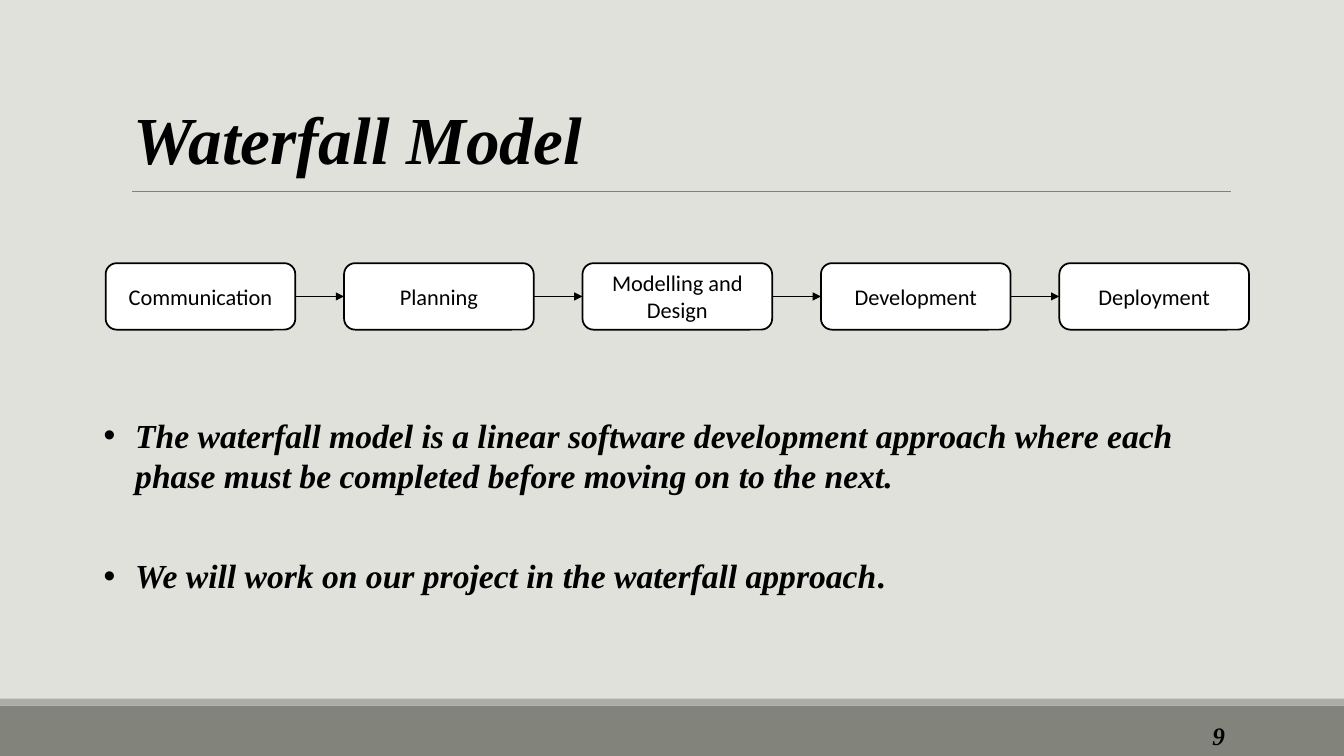
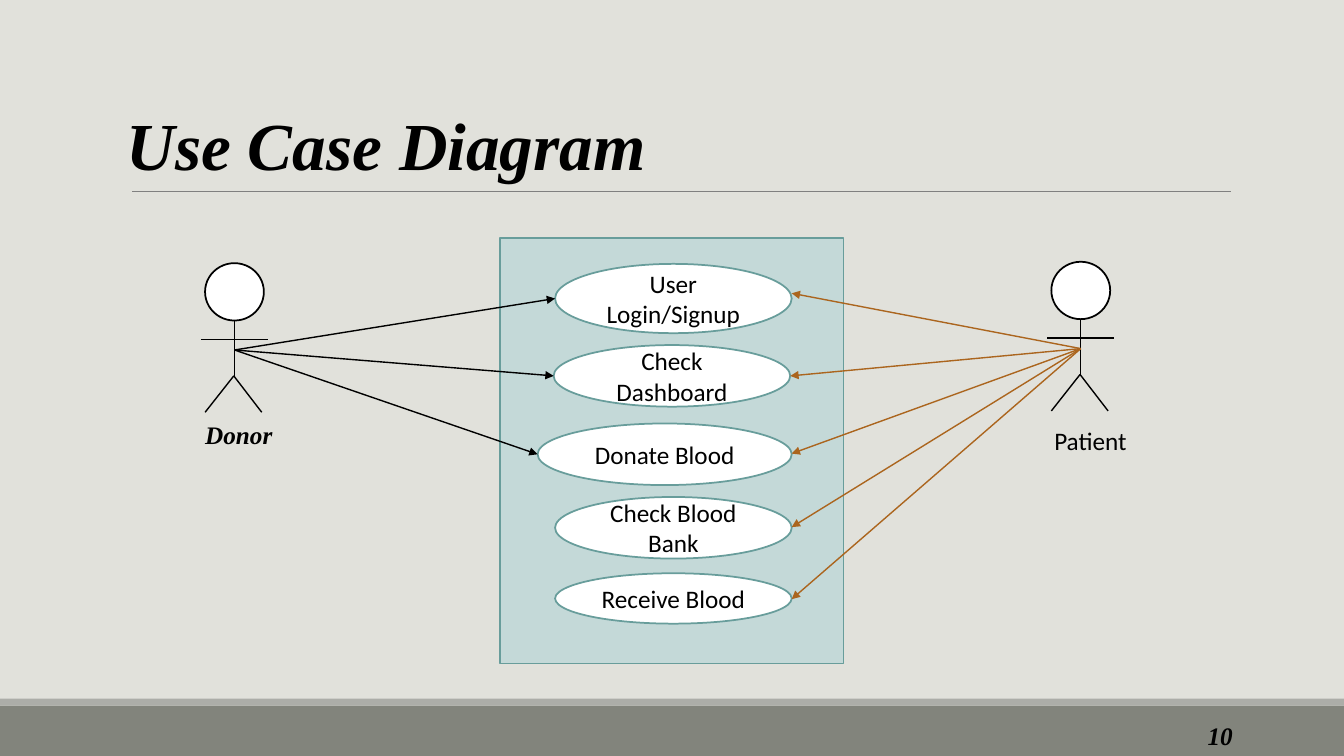
from itertools import pairwise

from lxml.etree import SubElement
from pptx import Presentation
from pptx.dml.color import RGBColor
from pptx.enum.shapes import MSO_CONNECTOR as Connector, MSO_SHAPE as Shape
from pptx.enum.text import MSO_ANCHOR as Anchor, PP_ALIGN as Align
from pptx.oxml.ns import qn
from pptx.util import Pt

SLIDE_WIDTH, SLIDE_HEIGHT = 960, 540
BLACK, WHITE = "000000", "FFFFFF"
BACKGROUND = "E1E1DB"
BAND, BAND_EDGE, RULE = "82847C", "ACADA8", "808080"
SYSTEM_FILL, TEAL, BROWN = "C4D9D8", "689D9B", "AB651E"
SANS = {"font": "Calibri"}
SERIF = {"font": "Times New Roman", "bold": True, "italic": True}

STEPS = ["Communication", "Planning", "Modelling and Design",
         "Development", "Deployment"]
STEP_LEFT, STEP_TOP, STEP_PITCH = 75.5, 188, 170.3
STEP_WIDTH, STEP_HEIGHT = 135.5, 47.5

USE_CASES = [
    ("User Login/Signup", 396.5, 188.5, 169, 49.5, 209.5),
    ("Check Dashboard", 395.5, 246.5, 169, 44, 268.5),
    ("Donate Blood", 384, 302.5, 181.5, 44, 324),
    ("Check Blood Bank", 396.5, 355, 169, 44, 376.5),
    ("Receive Blood", 396.5, 409.5, 169, 36, 428),
]
DONOR_CASES = 3


def color(value):
    return RGBColor.from_string(value)


def write(frame, text, size=18, font="Calibri", bold=False, italic=False,
          align=Align.LEFT, new_paragraph=False):
    paragraph = frame.add_paragraph() if new_paragraph else frame.paragraphs[-1]
    paragraph.alignment = align
    run = paragraph.add_run()
    run.text = text
    run.font.size = Pt(size)
    run.font.name = font
    run.font.bold = bold
    run.font.italic = italic
    run.font.color.rgb = color(BLACK)
    return paragraph


def add_text_box(slide, left, top, width, height):
    frame = slide.shapes.add_textbox(
        Pt(left), Pt(top), Pt(width), Pt(height)).text_frame
    frame.word_wrap = True
    return frame


def add_box(slide, kind, left, top, width, height, fill=WHITE, line=None,
            text=None, size=18):
    shape = slide.shapes.add_shape(kind, Pt(left), Pt(top), Pt(width), Pt(height))
    shape.shadow.inherit = False
    shape.fill.solid()
    shape.fill.fore_color.rgb = color(fill)
    if line:
        shape.line.color.rgb = color(line)
        shape.line.width = Pt(1.25)
    else:
        shape.line.fill.background()
    if text:
        shape.text_frame.vertical_anchor = Anchor.MIDDLE
        write(shape.text_frame, text, size=size, align=Align.CENTER, **SANS)
    return shape


def add_line(slide, start, end, line=BLACK, width=1, arrow=False):
    connector = slide.shapes.add_connector(
        Connector.STRAIGHT, *(Pt(value) for value in (*start, *end)))
    connector.line.color.rgb = color(line)
    connector.line.width = Pt(width)
    if arrow:
        SubElement(connector.line._get_or_add_ln(), qn("a:tailEnd"), type="triangle")
    SubElement(connector._element.spPr, qn("a:effectLst"))
    return connector


def add_bullet(frame, text, new_paragraph=False):
    paragraph = write(frame, text, size=24, new_paragraph=new_paragraph, **SERIF)
    properties = paragraph._p.get_or_add_pPr()
    properties.set("marL", str(Pt(22.5)))
    properties.set("indent", str(-Pt(22.5)))
    SubElement(properties, qn("a:buFont"), typeface="Arial")
    SubElement(properties, qn("a:buChar"), char="•")
    return paragraph


def add_base_slide(presentation, title, title_left, title_top, number, number_left):
    slide = presentation.slides.add_slide(presentation.slide_layouts[6])
    add_box(slide, Shape.RECTANGLE, 0, 504, SLIDE_WIDTH, 36, fill=BAND)
    add_box(slide, Shape.RECTANGLE, 0, 499, SLIDE_WIDTH, 5, fill=BAND_EDGE)
    add_line(slide, (94.5, 136.5), (879, 136.5), line=RULE, width=0.5)
    write(add_text_box(slide, title_left, title_top, 440, 65.5),
          title, size=48, **SERIF)
    write(add_text_box(slide, number_left, 511, 45, 29), number, **SERIF)
    return slide


def add_actor(slide, center, top):
    add_box(slide, Shape.OVAL, center - 21, top, 42, 41, line=BLACK)
    hip = (center - 0.5, top + 80.5)
    add_line(slide, (center, top + 41), (center, top + 81.5))
    add_line(slide, (center - 24, top + 54.5), (center + 24, top + 54.5))
    for foot in (center - 21, center + 19.5):
        add_line(slide, hip, (foot, top + 106.5))


def build_waterfall(presentation):
    slide = add_base_slide(presentation, "Waterfall Model", 88.5, 66, "9", 859)
    steps = [
        add_box(slide, Shape.ROUNDED_RECTANGLE, STEP_LEFT + index * STEP_PITCH,
                STEP_TOP, STEP_WIDTH, STEP_HEIGHT, line=BLACK, text=text, size=16)
        for index, text in enumerate(STEPS)]
    for before, after in pairwise(steps):
        arrow = add_line(slide, (0, 0), (0, 0), arrow=True)
        arrow.begin_connect(before, 3)
        arrow.end_connect(after, 1)
    frame = add_text_box(slide, 67, 292.5, 835, 133)
    add_bullet(frame, "The waterfall model is a linear software development approach "
                      "where each phase must be completed before moving on to the next.")
    closing = add_bullet(frame, "We will work on our project in the waterfall approach",
                         new_paragraph=True)
    closing.space_before = Pt(43)
    write(frame, ".", size=24, font="Times New Roman", bold=True)


def build_use_cases(presentation):
    slide = add_base_slide(presentation, "Use Case Diagram", 83.5, 70.5, "10", 855.5)
    add_box(slide, Shape.RECTANGLE, 357, 170, 245.5, 304, fill=SYSTEM_FILL, line=TEAL)
    donor, patient = 167.5, 772
    add_actor(slide, donor, 188)
    add_actor(slide, patient, 187)
    for text, left, top, width, height, _ in USE_CASES:
        add_box(slide, Shape.OVAL, left, top, width, height, line=TEAL, text=text)
    for _, left, top, _, height, _ in USE_CASES[:DONOR_CASES]:
        add_line(slide, (donor, 250), (left, top + height / 2), arrow=True)
    for _, left, _, width, _, arrival in USE_CASES:
        add_line(slide, (patient, 249), (left + width, arrival),
                 line=BROWN, arrow=True)
    write(add_text_box(slide, 139.5, 296, 112, 29), "Donor", **SERIF)
    write(add_text_box(slide, 746, 300, 75, 29), "Patient", **SANS)


def main():
    presentation = Presentation()
    presentation.slide_width = Pt(SLIDE_WIDTH)
    presentation.slide_height = Pt(SLIDE_HEIGHT)
    background = presentation.slide_master.background.fill
    background.solid()
    background.fore_color.rgb = color(BACKGROUND)
    build_waterfall(presentation)
    build_use_cases(presentation)
    presentation.save("out.pptx")


if __name__ == "__main__":
    main()
